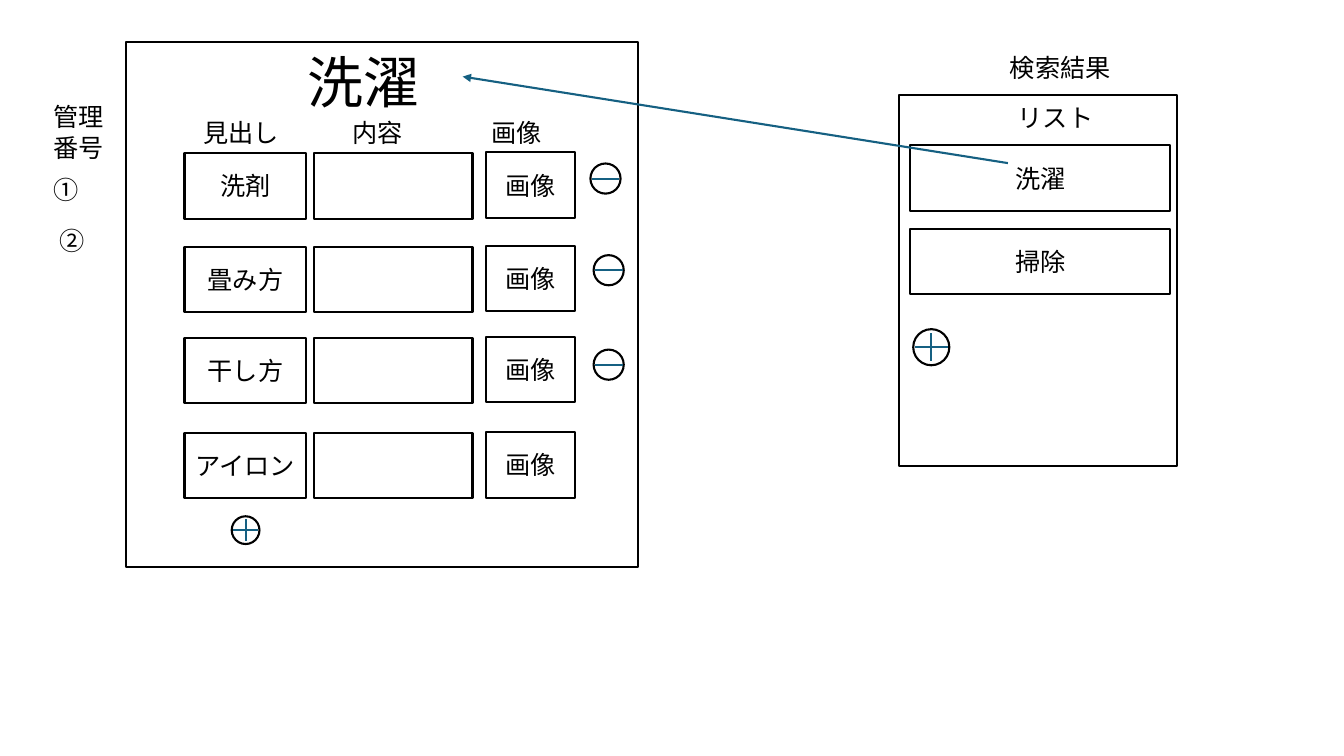
from pptx import Presentation
from pptx import util as u
from pptx.dml import color
from pptx.enum import shapes, text
from pptx.oxml import ns, xmlchemy as xml

INK, PAPER, BLUE = "000000", "FFFFFF", "156082"
FONT = "Noto Sans CJK JP"


def paint(fill, tint):
    fill.solid()
    fill.fore_color.rgb = color.RGBColor.from_string(tint)


def apply(item, form):
    for name, value in form.items():
        setattr(item, name, value)


class Board:
    font = {"name": FONT, "size": u.Pt(18)}
    cell = {"word_wrap": True, "vertical_anchor": text.MSO_ANCHOR.MIDDLE}
    note = {"word_wrap": True, "auto_size": text.MSO_AUTO_SIZE.SHAPE_TO_FIT_TEXT}

    def __init__(self, slide):
        self.slide = slide

    def letter(self, frame, words, form, **extra):
        apply(frame, form)
        run = frame.paragraphs[0].add_run()
        run.text = words
        apply(run.font, {**self.font, **extra})
        paint(run.font.fill, INK)
        face = xml.OxmlElement("a:ea")
        face.set("typeface", FONT)
        run.font._element.find(ns.qn("a:latin")).addnext(face)

    def shape(self, kind, x, y, w, h, home=None):
        item = (home or self.slide).shapes.add_shape(
            kind, u.Cm(x), u.Cm(y), u.Cm(w), u.Cm(h))
        item.shadow.inherit = False
        paint(item.fill, PAPER)
        paint(item.line.fill, INK)
        item.line.width = u.Pt(1.5)
        return item

    def box(self, x, y, w, h, words=""):
        item = self.shape(shapes.MSO_SHAPE.RECTANGLE, x, y, w, h)
        if words:
            self.letter(item.text_frame, words, self.cell)
            item.text_frame.paragraphs[0].alignment = text.PP_ALIGN.CENTER

    def label(self, words, x, y, w, h=1.02, **extra):
        item = self.slide.shapes.add_textbox(u.Cm(x), u.Cm(y), u.Cm(w), u.Cm(h))
        self.letter(item.text_frame, words, self.note, **extra)

    def line(self, x1, y1, x2, y2, home=None, arrow=False):
        item = (home or self.slide).shapes.add_connector(
            shapes.MSO_CONNECTOR.STRAIGHT, u.Cm(x1), u.Cm(y1), u.Cm(x2), u.Cm(y2))
        paint(item.line.fill, BLUE)
        item.line.width = u.Pt(1.5)
        if arrow:
            tip = xml.OxmlElement("a:tailEnd")
            tip.set("type", "triangle")
            item.line._get_or_add_ln().append(tip)
        item._element.spPr.append(xml.OxmlElement("a:effectLst"))

    def button(self, x, y, size, plus=False):
        group = self.slide.shapes.add_group_shape()
        self.shape(shapes.MSO_SHAPE.OVAL, x - size / 2, y - size / 2, size, size, group)
        wide, tall = size * 0.46, size * 0.39
        self.line(x - wide, y, x + wide, y, group)
        if plus:
            self.line(x, y - tall, x, y + tall, group)


def main():
    deck = Presentation()
    apply(deck, {"slide_width": u.Cm(33.87), "slide_height": u.Cm(19.05)})
    board = Board(deck.slides.add_slide(deck.slide_layouts[6]))

    board.box(3.18, 1.07, 12.9, 13.21)
    board.label("洗濯", 7.49, 1.07, 7.06, 1.96, size=u.Pt(40))
    for head, x, w in (("見出し", 4.88, 3.71), ("内容", 8.64, 2.72), ("画像", 12.14, 2.72)):
        board.label(head, x, 2.82, w)
    tops = 3.86, 6.22, 8.51, 10.91
    for topic, y in zip(("洗剤", "畳み方", "干し方", "アイロン"), tops):
        board.box(4.65, y, 3.07, 1.65, topic)
        board.box(7.92, y, 3.99, 1.65)
        board.box(12.24, y - 0.02, 2.26, 1.65, "画像")
    for x, y in ((15.26, 4.5), (15.34, 6.81), (15.34, 9.19)):
        board.button(x, y, 0.76)
    board.button(6.19, 13.36, 0.7, plus=True)

    board.label("管理番号", 1.09, 2.44, 2.21, 1.8)
    board.label("①", 1.09, 4.27, 1.47)
    board.label("②", 1.24, 5.56, 2.11)

    board.label("検索結果", 25.2, 1.19, 3.28)
    board.box(22.66, 2.39, 7.01, 9.35)
    board.label("リスト", 25.4, 2.46, 3.3)
    for row, topic in enumerate(("洗濯", "掃除")):
        board.box(22.94, 3.66 + row * 2.11, 6.55, 1.65, topic)
    board.button(23.47, 8.75, 0.91, plus=True)
    board.line(25.4, 4.11, 11.66, 1.93, arrow=True)

    deck.save("out.pptx")


if __name__ == "__main__":
    main()
